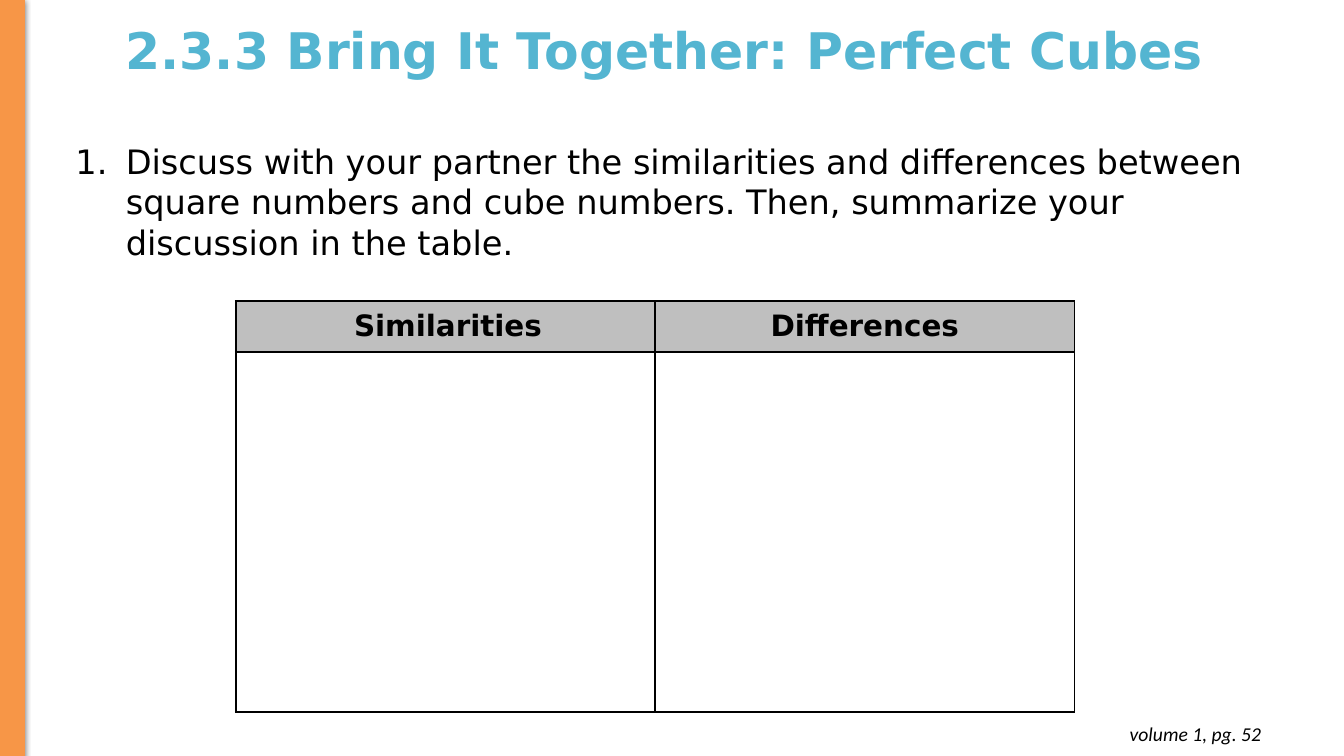
from lxml import etree
from pptx import Presentation
from pptx.dml.color import RGBColor
from pptx.enum import shapes, text
from pptx.oxml import parse_xml
from pptx.oxml.ns import nsdecls, qn
from pptx.util import Pt

TITLE = "2.3.3 Bring It Together: Perfect Cubes"
TASK = ("Discuss with your partner the similarities and differences between square "
        "numbers and cube numbers. Then, summarize your discussion in the table.")
HEADINGS = ["Similarities", "Differences"]
PAGE_REFERENCE = "volume 1, pg. 52"
COLORS = {"title": "54B5D1", "ink": "000000", "band": "F79647", "heading": "BFBFBF"}
SANS, FOOT = "DejaVu Sans", "Calibri"
WIDTH, HEIGHT = 960, 540
TABLE_LEFT, TABLE_TOP, COLUMN_WIDTH = 168.5, 215.3, 299.5
ROW_HEIGHTS = [36, 257]


def color(name):
    return RGBColor.from_string(COLORS[name])


def style(paragraph, size, font=SANS, ink="ink", bold=False, italic=False):
    for run in paragraph.runs:
        run.font.size, run.font.name = Pt(size), font
        run.font.bold, run.font.italic = bold, italic
        run.font.color.rgb = color(ink)


def add_text(slide, words, left, top, width, height):
    frame = slide.shapes.add_textbox(Pt(left), Pt(top), Pt(width), Pt(height)).text_frame
    frame.word_wrap = True
    frame.text = words
    return frame, frame.paragraphs[0]


def add_borders(cell):
    properties = cell._tc.get_or_add_tcPr()
    for position, side in enumerate(("lnL", "lnR", "lnT", "lnB")):
        properties.insert(position, parse_xml(
            f'<a:{side} {nsdecls("a")} w="{Pt(1.5)}"><a:solidFill>'
            f'<a:srgbClr val="{COLORS["ink"]}"/></a:solidFill></a:{side}>'))


def add_title(slide):
    frame, title = add_text(slide, TITLE, 82.8, 14.4, 814.3, 46.8)
    frame.vertical_anchor = text.MSO_ANCHOR.MIDDLE
    title.line_spacing = 0.9
    style(title, 36, ink="title", bold=True)


def add_task(slide):
    _, task = add_text(slide, TASK, 46.8, 97.2, 869, 94.3)
    properties = task._p.get_or_add_pPr()
    properties.set("marL", str(Pt(36)))
    properties.set("indent", str(-Pt(36)))
    etree.SubElement(properties, qn("a:buFont"), typeface="+mj-lt")
    etree.SubElement(properties, qn("a:buAutoNum"), type="arabicPeriod")
    style(task, 24)


def add_band(slide):
    band = slide.shapes.add_shape(shapes.MSO_SHAPE.RECTANGLE, 0, Pt(-0.5), Pt(17.3), Pt(540.7))
    band.fill.solid()
    band.fill.fore_color.rgb = band.line.color.rgb = color("band")
    band.line.width = Pt(0.75)
    band.shadow.inherit = False
    band._element.spPr.find(qn("a:effectLst")).append(parse_xml(
        f'<a:outerShdw {nsdecls("a")} blurRad="{Pt(4.5)}" dist="{Pt(1.5)}" dir="5400000" '
        f'rotWithShape="0"><a:srgbClr val="{COLORS["ink"]}"><a:alpha val="50000"/>'
        '</a:srgbClr></a:outerShdw>'))


def add_comparison(slide):
    comparison = slide.shapes.add_table(
        len(ROW_HEIGHTS), len(HEADINGS), Pt(TABLE_LEFT), Pt(TABLE_TOP),
        Pt(COLUMN_WIDTH * len(HEADINGS)), Pt(sum(ROW_HEIGHTS))).table
    for row, height in zip(comparison.rows, ROW_HEIGHTS):
        row.height = Pt(height)
    for column, heading in enumerate(HEADINGS):
        comparison.columns[column].width = Pt(COLUMN_WIDTH)
        top, body = comparison.cell(0, column), comparison.cell(1, column)
        top.text = heading
        top.vertical_anchor = text.MSO_ANCHOR.MIDDLE
        top.fill.solid()
        top.fill.fore_color.rgb = color("heading")
        body.fill.background()
        add_borders(top)
        add_borders(body)
        label = top.text_frame.paragraphs[0]
        label.alignment = text.PP_ALIGN.CENTER
        if column == 0:
            label._p.get_or_add_pPr().set("marL", str(Pt(3.6)))
        style(label, 21, bold=True)


def add_page_reference(slide):
    frame, reference = add_text(slide, PAGE_REFERENCE, 700.6, 508.3, 207.4, 31.7)
    frame.margin_top = frame.margin_bottom = Pt(7.2)
    reference.alignment = text.PP_ALIGN.RIGHT
    style(reference, 14, font=FOOT, italic=True)


def main():
    deck = Presentation()
    deck.slide_width, deck.slide_height = Pt(WIDTH), Pt(HEIGHT)
    slide = deck.slides.add_slide(deck.slide_layouts[6])
    add_title(slide)
    add_task(slide)
    add_band(slide)
    add_comparison(slide)
    add_page_reference(slide)
    deck.save("out.pptx")


if __name__ == "__main__":
    main()
